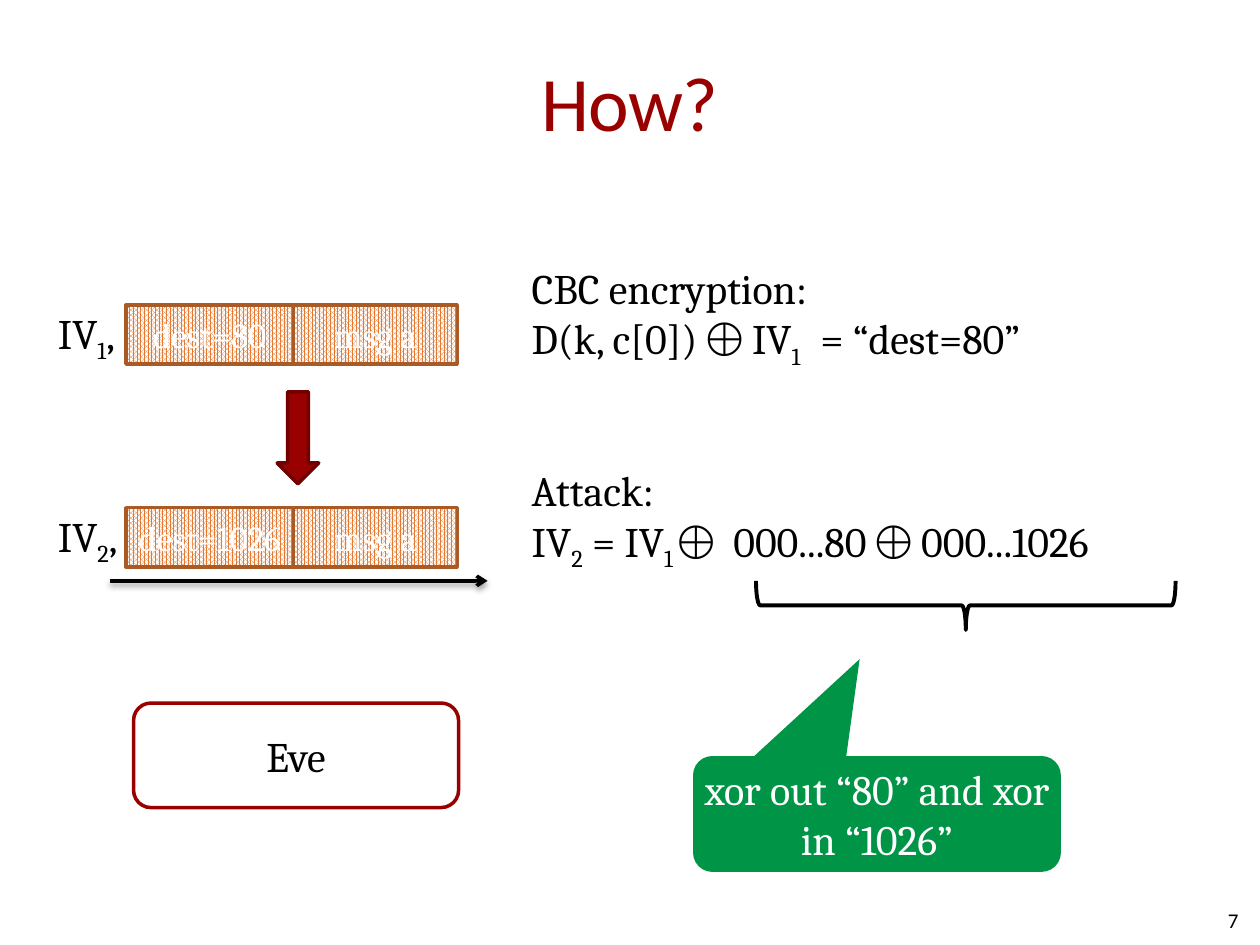
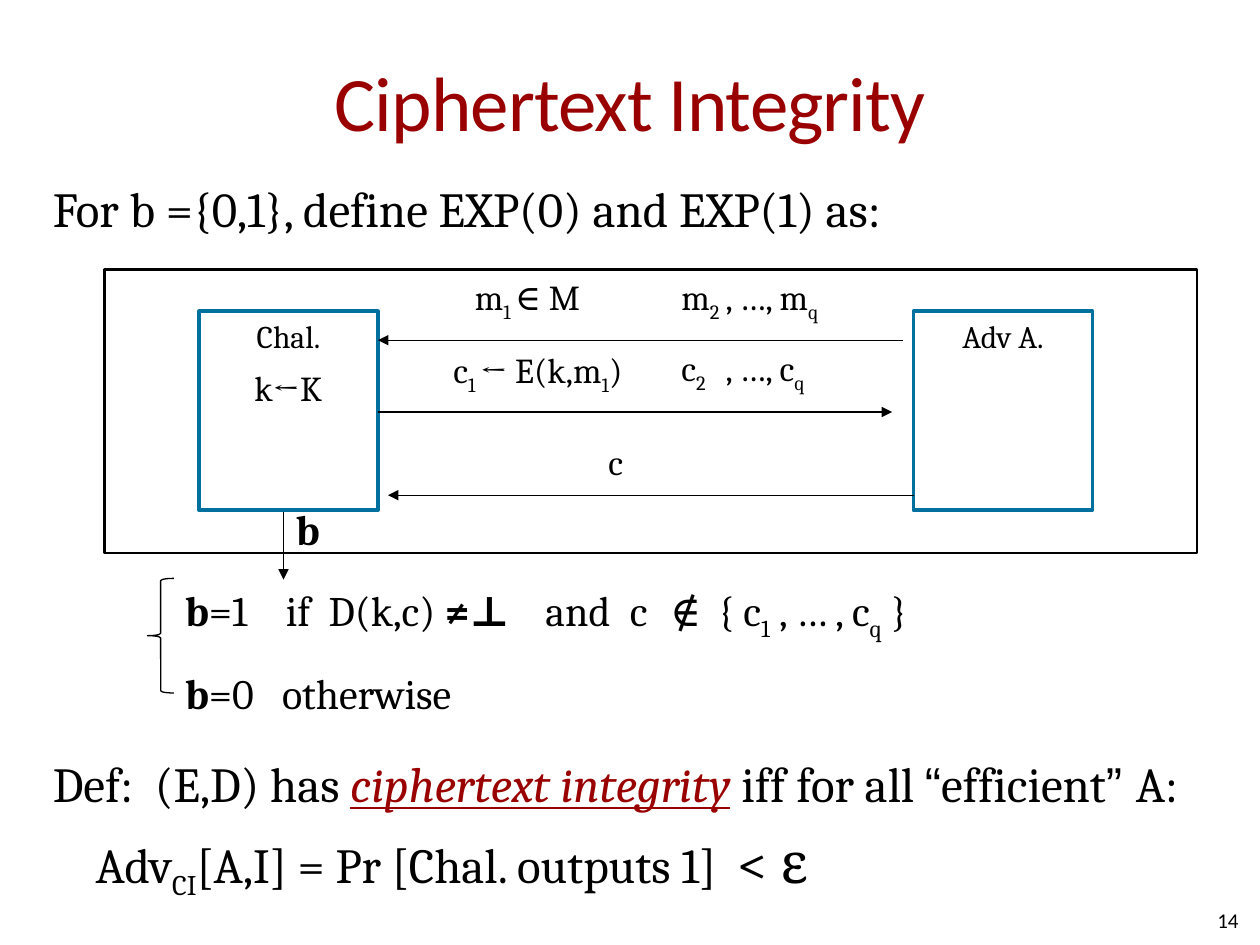
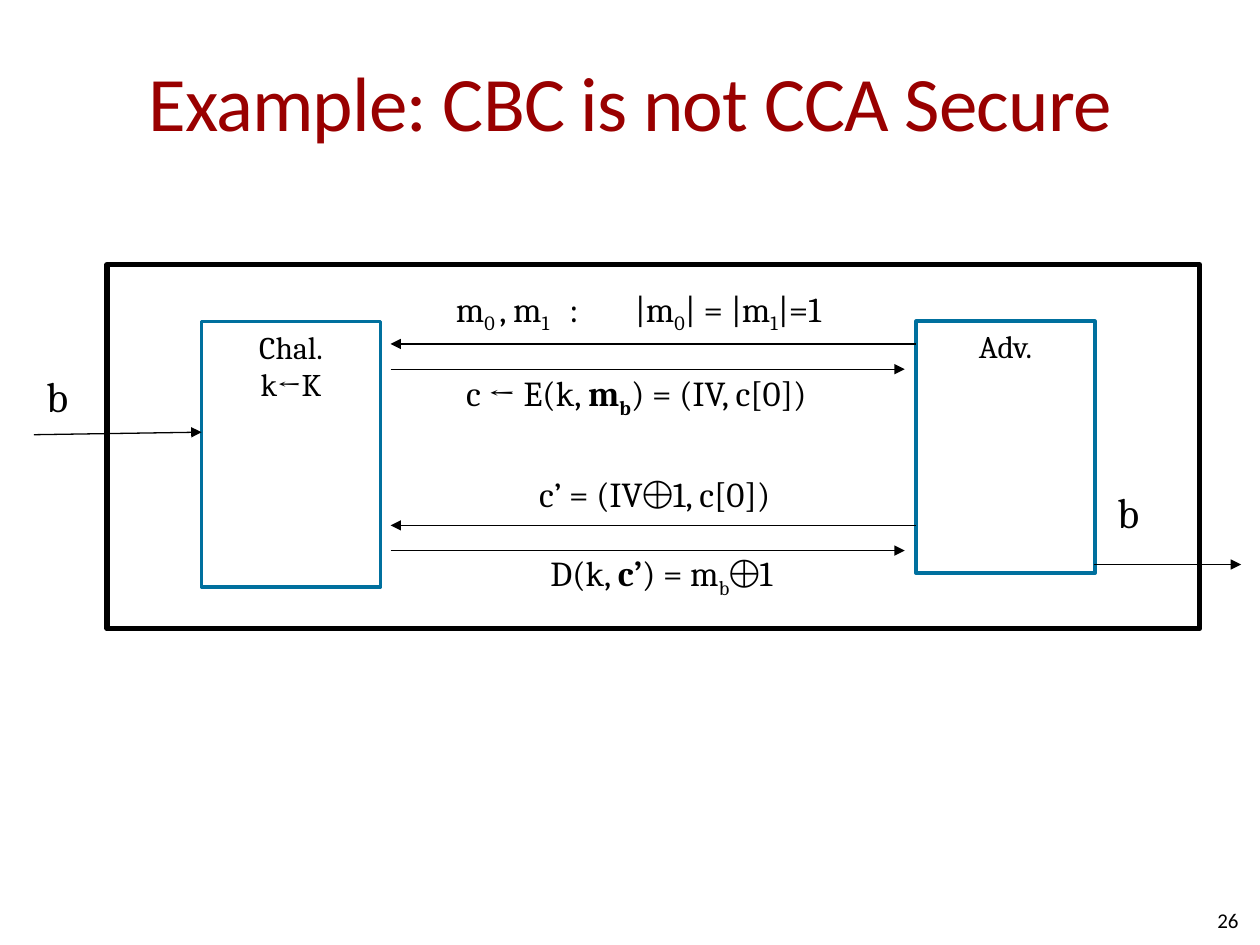
from dataclasses import dataclass
from typing import Optional, Sequence, Union

import pptx
import pptx.dml.color
import pptx.enum.dml
import pptx.enum.shapes
import pptx.enum.text
import pptx.oxml
import pptx.oxml.ns
import pptx.util

Inches = pptx.util.Inches
Pt = pptx.util.Pt
SHAPE = pptx.enum.shapes.MSO_SHAPE
ALIGN = pptx.enum.text.PP_ALIGN
ANCHOR = pptx.enum.text.MSO_ANCHOR
NS = pptx.oxml.ns.nsdecls("a")

# Shared style
COLORS = {
    "ink": "000000", "white": "FFFFFF", "red": "990000", "dark_red": "710000",
    "blue": "00709E", "orange": "E47932", "brown": "A95A25", "green": "009446",
}
HEAD_FONT, BODY_FONT = "Calibri", "Cambria"
NO_INSETS = (0, 0, 0, 0)
TEXT_INSETS = (0.1, 0.05, 0.1, 0.05)


@dataclass(frozen=True)
class Run:
    text: str
    bold: bool = False
    sub: bool = False
    emphasis: bool = False
    font: Optional[str] = None
    size: Optional[float] = None


@dataclass(frozen=True)
class Para:
    runs: Sequence[Union[str, Run]]
    tabs: Sequence[float] = ()
    spacing: Optional[float] = None


@dataclass(frozen=True)
class Style:
    size: float = 20
    color: str = "ink"
    font: str = BODY_FONT
    align: ALIGN = ALIGN.LEFT
    anchor: ANCHOR = ANCHOR.TOP
    insets: Sequence[float] = TEXT_INSETS
    wrap: bool = False
    grow: bool = True
    tracking: float = 0


@dataclass(frozen=True)
class Label:
    left: float
    top: float
    width: float
    height: float
    paras: Sequence[Para]
    style: Style = Style()


@dataclass(frozen=True)
class Box:
    left: float
    top: float
    width: float
    height: float
    kind: SHAPE = SHAPE.RECTANGLE
    fill: Optional[str] = None
    line: Optional[str] = None
    weight: float = 2
    hatched: bool = False
    rotation: float = 0
    adjustments: Sequence[float] = ()
    paras: Sequence[Para] = ()
    style: Style = Style()


@dataclass(frozen=True)
class Arrow:
    x1: float
    y1: float
    x2: float
    y2: float
    weight: float = 0.75
    head: str = "triangle"
    shadow: bool = False


TITLE = Style(44, "red", HEAD_FONT, ALIGN.CENTER, ANCHOR.MIDDLE, (0, 0.05, 0, 0.05),
              wrap=True, grow=False, tracking=-0.5)
NUMBER = Style(12, "ink", HEAD_FONT, ALIGN.RIGHT, ANCHOR.MIDDLE, NO_INSETS,
               wrap=True, grow=False)
LETTER = Style(24)
FORMULA = Style(24, insets=NO_INSETS)
TABBED_FORMULA = Style(24, insets=NO_INSETS, wrap=True)
STATEMENT = Style(28, insets=NO_INSETS)
PARTY = Style(18, align=ALIGN.CENTER, grow=False)


def centered(size: float, color: str) -> Style:
    return Style(size, color, align=ALIGN.CENTER, anchor=ANCHOR.MIDDLE,
                 insets=NO_INSETS, wrap=True, grow=False)


def rgb(name: str) -> pptx.dml.color.RGBColor:
    return pptx.dml.color.RGBColor.from_string(COLORS[name])


def sub(text: str, bold: bool = False) -> Run:
    return Run(text, bold=bold, sub=True)


def bold(text: str) -> Run:
    return Run(text, bold=True)


def line(*runs: Union[str, Run], tabs: Sequence[float] = (),
         spacing: Optional[float] = None) -> Para:
    return Para(runs, tabs, spacing)


# Drawing functions
def add_run(p, part: Union[str, Run], style: Style) -> None:
    run = Run(part) if isinstance(part, str) else part
    r = p.add_run()
    r.text = run.text
    r.font.name = run.font or style.font
    r.font.size = Pt(run.size or style.size)
    r.font.bold = run.bold
    r.font.color.rgb = rgb("red" if run.emphasis else style.color)
    if run.emphasis:
        r.font.italic = r.font.underline = True
    rPr = r.font._element
    if run.sub:
        rPr.set("baseline", "-25000")
    if style.tracking:
        rPr.set("spc", str(round(style.tracking * 100)))


def write(sp, paras: Sequence[Para], style: Style) -> None:
    tf = sp.text_frame
    tf.word_wrap = style.wrap
    if style.grow:
        tf.auto_size = pptx.enum.text.MSO_AUTO_SIZE.SHAPE_TO_FIT_TEXT
    tf.vertical_anchor = style.anchor
    tf.margin_left, tf.margin_top, tf.margin_right, tf.margin_bottom = map(
        Inches, style.insets)
    for i, para in enumerate(paras):
        p = tf.add_paragraph() if i else tf.paragraphs[0]
        p.alignment = style.align
        if para.spacing:
            p.line_spacing = para.spacing
        if para.tabs:
            stops = "".join(f'<a:tab pos="{Inches(t)}" algn="l"/>' for t in para.tabs)
            p._p.get_or_add_pPr().append(
                pptx.oxml.parse_xml(f"<a:tabLst {NS}>{stops}</a:tabLst>"))
        for part in para.runs:
            add_run(p, part, style)


def add_label(s, label: Label) -> None:
    sp = s.shapes.add_textbox(Inches(label.left), Inches(label.top),
                              Inches(label.width), Inches(label.height))
    write(sp, label.paras, label.style)


def add_box(s, box: Box) -> None:
    sp = s.shapes.add_shape(box.kind, Inches(box.left), Inches(box.top),
                            Inches(box.width), Inches(box.height))
    sp.shadow.inherit = False
    sp.rotation = box.rotation
    for i, value in enumerate(box.adjustments):
        sp.adjustments[i] = value
    if box.hatched:
        sp.fill.patterned()
        sp.fill.pattern = pptx.enum.dml.MSO_PATTERN.PERCENT_80
        sp.fill.fore_color.rgb = rgb(box.fill)
        sp.fill.back_color.rgb = rgb("white")
    elif box.fill:
        sp.fill.solid()
        sp.fill.fore_color.rgb = rgb(box.fill)
    else:
        sp.fill.background()
    if box.line:
        sp.line.color.rgb = rgb(box.line)
        sp.line.width = Pt(box.weight)
    else:
        sp.line.fill.background()
    if box.paras:
        write(sp, box.paras, box.style)


def add_arrow(s, arrow: Arrow) -> None:
    c = s.shapes.add_connector(pptx.enum.shapes.MSO_CONNECTOR.STRAIGHT,
                               Inches(arrow.x1), Inches(arrow.y1),
                               Inches(arrow.x2), Inches(arrow.y2))
    c.line.color.rgb = rgb("ink")
    c.line.width = Pt(arrow.weight)
    c.line._get_or_add_ln().append(
        pptx.oxml.parse_xml(f'<a:tailEnd {NS} type="{arrow.head}"/>'))
    effect = ""
    if arrow.shadow:
        effect = (f'<a:outerShdw blurRad="{Pt(3.1)}" dist="{Pt(1.6)}" dir="5400000">'
                  f'<a:srgbClr val="{COLORS["ink"]}"><a:alpha val="38000"/></a:srgbClr>'
                  '</a:outerShdw>')
    c._element.spPr.append(
        pptx.oxml.parse_xml(f"<a:effectLst {NS}>{effect}</a:effectLst>"))


DRAW = {Label: add_label, Box: add_box, Arrow: add_arrow}


def draw(s, *items: Union[Label, Box, Arrow]) -> None:
    for item in items:
        DRAW[type(item)](s, item)


def new_slide(prs, title: str, number: int):
    s = prs.slides.add_slide(prs.slide_layouts[6])
    draw(s, Label(0.5, 0.17, 9, 1.25, [line(title)], TITLE),
         Label(7.5, 7.1, 2.33, 0.4, [line(str(number))], NUMBER))
    return s


def party(left: float, top: float, height: float, *names: str) -> Box:
    return Box(left, top, 1.42, height, fill="white", line="blue",
               paras=[line(name) for name in names], style=PARTY)


def draw_packet(s, top: float, index: str, dest: str) -> None:
    for left, width, text in ((1, 1.33, dest), (2.33, 1.3, "msg a")):
        draw(s, Box(left, top, width, 0.47, fill="orange", line="brown", hatched=True,
                    paras=[line(text)], style=centered(20, "white")))
    draw(s, Label(0.46, top + 0.02, 0.51, 0.4, [line("IV", sub(index), ",")], FORMULA))


# Slides
def build_how(prs) -> None:
    s = new_slide(prs, "How?", 7)
    draw_packet(s, 2.42, "1", "dest=80")
    draw(s, Arrow(0.87, 4.61, 3.87, 4.61, 2, "arrow", shadow=True))
    draw_packet(s, 4.03, "2", "dest=1026")
    draw(
        s,
        Box(2.2, 3.11, 0.33, 0.73, SHAPE.DOWN_ARROW, "red", "dark_red"),
        Label(4.22, 2.08, 4.08, 0.81, [
            line("CBC encryption:"),
            line("D(k, c[0]) ⨁ IV", sub("1"), "\t= “dest=80”", tabs=[2.29]),
        ], TABBED_FORMULA),
        Label(4.22, 3.69, 4.78, 0.81, [
            line("Attack:"),
            line("IV", sub("2"), " = IV", sub("1 "), "⨁\t000...80 ⨁ 000...1026",
                 tabs=[1.6]),
        ], TABBED_FORMULA),
        Box(5.5, 6, 2.92, 0.92, SHAPE.ROUNDED_RECTANGULAR_CALLOUT, "green",
            adjustments=(-0.047, -1.336, 0.167),
            paras=[line("xor out “80” and xor in “1026”")], style=centered(24, "white")),
        Box(7.47, 3.14, 0.39, 3.33, SHAPE.RIGHT_BRACE, line="ink", weight=2.25,
            rotation=90),
        Box(1.06, 5.58, 2.58, 0.83, SHAPE.ROUNDED_RECTANGLE, "white", "red",
            paras=[line("Eve")], style=centered(24, "ink")),
    )


def build_integrity(prs) -> None:
    s = new_slide(prs, "Ciphertext Integrity", 14)
    # Experiment between challenger and adversary
    draw(
        s,
        party(1.58, 2.47, 1.58, "Chal."),
        party(7.25, 2.47, 1.58, "Adv A."),
        Label(1.92, 2.86, 0.81, 0.44, [line("k←K")]),
        Box(0.83, 2.14, 8.67, 2.25, line="ink", weight=1.5),
        Arrow(7.17, 2.7, 3, 2.7),
        Label(3.67, 2.14, 1.09, 0.44, [line("m", sub("1 "), "∈ M")]),
        Arrow(3, 3.27, 7.08, 3.27),
        Label(3.5, 2.72, 1.75, 0.44,
              [line("c", sub("1 "), "← E(k,m", sub("1"), ")")]),
        Arrow(7.25, 3.93, 3.08, 3.93),
        Label(4.73, 3.45, 0.33, 0.44, [line("c")]),
    )
    for top, name, first, rest in ((2.14, "m", 0.54, 0.99), (2.7, "c", 0.43, 0.88)):
        draw(s, Label(5.31, top, first, 0.44, [line(name, sub("2"))]),
             Label(5.66, top, rest, 0.44, [line(f", …, {name}", sub("q"))]))
    # Outcome of the experiment
    draw(
        s,
        Label(1.37, 4.59, 6.21, 1.08, [
            line(bold("b"), "=1\tif\tD(k,c) ", bold("≠⊥"), "\tand\tc\t∉\t{ c",
                 sub("1"), " , … , c", sub("q"), " }",
                 tabs=[0.8, 1.14, 2.86, 3.53, 3.85, 4.23]),
            line(bold("b"), "=0\totherwise", tabs=[0.77], spacing=1.5),
        ], Style(24, wrap=True)),
        Box(1.17, 4.59, 0.21, 0.91, SHAPE.LEFT_BRACE, line="ink", weight=0.75),
        Arrow(2.25, 4.06, 2.25, 4.6),
        Label(2.25, 3.95, 0.4, 0.5, [line(bold("b"))], LETTER),
    )
    # Definition
    draw(
        s,
        Label(0.42, 1.42, 7.04, 0.47,
              [line("For b ={0,1}, define EXP(0) and EXP(1) as:")], STATEMENT),
        Label(0.42, 5.89, 9.36, 1.19, [
            line("Def:\t(E,D) has ", Run("ciphertext integrity", emphasis=True),
                 bold(" "), "iff for all ", Run("“", font="Arial"), "efficient",
                 Run("” ", font="Arial"), "A:", tabs=[0.81], spacing=1.2),
            line("\tAdv", sub("CI"), "[A,I] = Pr [Chal. outputs 1]",
                 Run("\t< ε", size=32), tabs=[0.34, 5.43], spacing=1.2),
        ], Style(28, insets=NO_INSETS, wrap=True)),
    )


def build_cca(prs) -> None:
    s = new_slide(prs, "Example: CBC is not CCA Secure", 26)
    draw(
        s,
        party(1.6, 2.55, 2.11, "Chal.", "k←K"),
        party(7.27, 2.55, 2, "Adv."),
        Box(0.85, 2.1, 8.67, 2.89, line="ink", weight=3),
        Arrow(0.27, 3.45, 1.6, 3.43),
        Label(0.27, 2.89, 0.39, 0.5, [line("b")], LETTER),
        Arrow(8.68, 4.48, 9.85, 4.48),
        Label(8.77, 3.81, 0.39, 0.5, [line("b")], LETTER),
    )
    # Each round is a query followed by a reply
    for top in (2.73, 4.17):
        draw(s, Arrow(7.27, top, 3.1, top), Arrow(3.1, top + 0.2, 7.18, top + 0.2))
    draw(
        s,
        Label(3.52, 2.23, 3.33, 0.44, [
            line("m", sub("0 "), ", m", sub("1"), "\t:\t|m", sub("0"), "| = |m",
                 sub("1"), "|=1", tabs=[0.9, 1.42]),
        ], Style(wrap=True)),
        Label(3.6, 2.9, 3.08, 0.44, [
            line("c ← E(k, ", bold("m"), sub("b", bold=True), ") = (IV, c[0])")]),
        Label(4.18, 3.7, 2.13, 0.44, [line("c’ = (IV⨁1, c[0])")]),
        Label(4.27, 4.33, 2.08, 0.44, [
            line("D(k, ", bold("c’"), ") = m", sub("b"), "⨁1")]),
    )


def main() -> None:
    prs = pptx.Presentation()
    prs.slide_width, prs.slide_height = Inches(10), Inches(7.5)
    build_how(prs)
    build_integrity(prs)
    build_cca(prs)
    prs.save("out.pptx")


if __name__ == "__main__":
    main()
